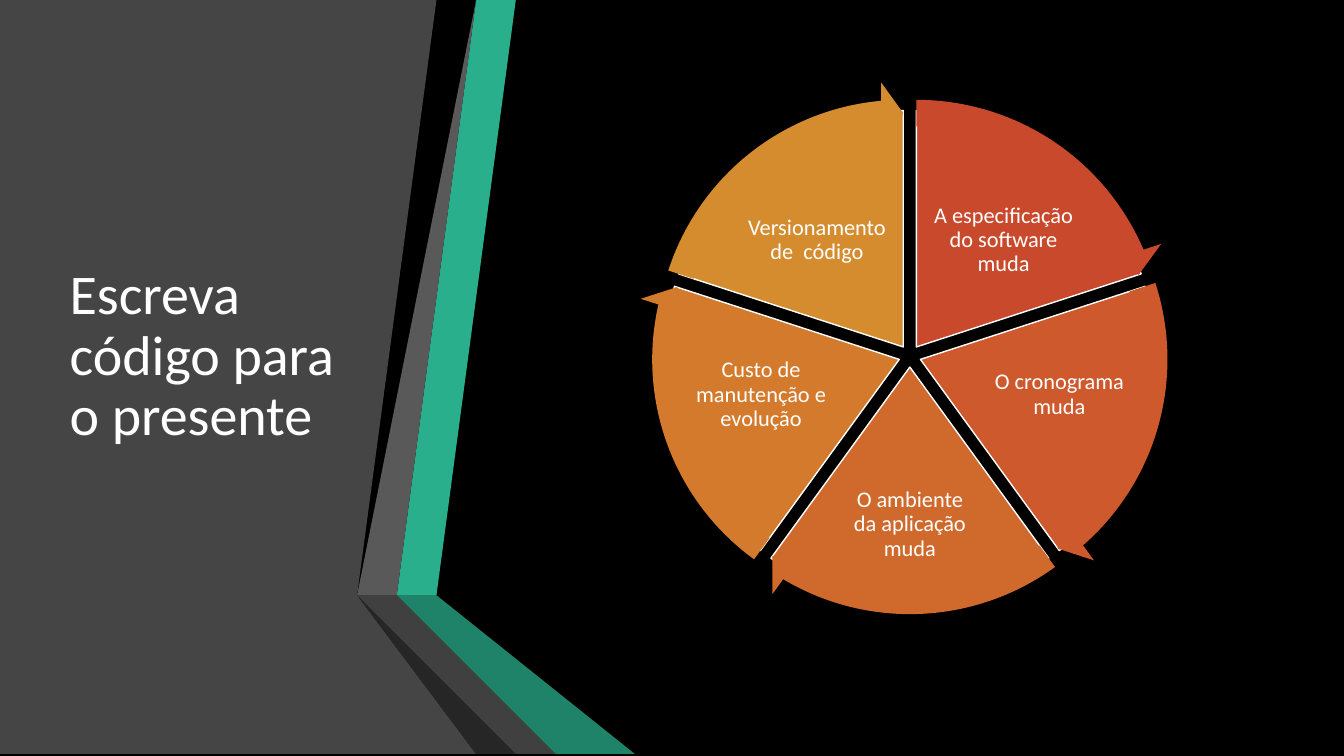
"""Build a slide with a title panel, folded ribbons and a five-part cycle wheel."""
from dataclasses import dataclass
from math import cos, radians, sin

from pptx import Presentation
from pptx.dml.color import RGBColor
from pptx.enum.shapes import MSO_SHAPE
from pptx.enum.text import MSO_ANCHOR, MSO_AUTO_SIZE, PP_ALIGN
from pptx.util import Cm, Pt

PIE, ARROW = MSO_SHAPE.PIE, MSO_SHAPE.CIRCULAR_ARROW
MIDDLE, FIXED = MSO_ANCHOR.MIDDLE, MSO_AUTO_SIZE.NONE
LEFT, CENTER = PP_ALIGN.LEFT, PP_ALIGN.CENTER

COLORS = {
    "back": "000000", "text": "FFFFFF", "panel": "454545",
    "green": "29AF8C", "gray": "595959", "gray edge": "262626",
    "green edge": "155746", "green fold": "1F8369", "gray fold": "404040",
    "red": "C9492C", "rust": "CD592C", "clay": "D0692C",
    "orange": "D47A2C", "amber": "D58C2E",
}
WIDTH, HEIGHT = 33.87, 19.05
HUB_X, HUB_Y, GAP = 22.93, 8.97, 0.28
PIE_SIZE, ARROW_SIZE = 11.91, 13.39
TURN, STEP, START, HEAD = 216, 43.2, 162, 3.28


@dataclass
class Band:
    color: str
    points: list[tuple[float, float]]


@dataclass
class Part:
    label: str
    color: str
    left: float
    top: float
    width: float
    height: float


PANEL = Band("panel", [(0, 0), (11.4, 0), (9.04, 14.62), (12.24, HEIGHT), (0, HEIGHT)])
BANDS = [
    Band("green", [(10.06, 14.68), (10.74, 14.81), (13.18, 0), (12.47, 0)]),
    Band("gray", [(12.32, 0), (11.61, 0), (9.22, 14.55), (9.91, 14.66)]),
    Band("gray edge", [(9.22, 14.55), (12.47, HEIGHT), (12.62, HEIGHT)]),
    Band("green edge", [(10.06, 14.71), (14.07, HEIGHT), (14.22, HEIGHT)]),
    Band("green fold", [(10.06, 14.71), (14.22, HEIGHT), (15.98, HEIGHT),
                        (10.74, 14.81), (10.06, 14.68)]),
    Band("gray fold", [(13.92, HEIGHT), (10.03, 14.81), (9.88, 14.68),
                       (9.91, 14.66), (9.22, 14.55), (12.62, HEIGHT)]),
]
PARTS = [
    Part("A especificação do software muda", "red", 23.37, 4.78, 3.84, 2.54),
    Part("O cronograma muda", "rust", 24.92, 8.53, 3.56, 2.84),
    Part("O ambiente da aplicação muda", "clay", 21.23, 11.66, 3.4, 3.12),
    Part("Custo de manutenção e evolução", "orange", 17.4, 8.53, 3.56, 2.84),
    Part("Versionamento de  código", "amber", 18.67, 4.78, 3.84, 2.54),
]


def paint(item, color: str) -> None:
    """Fill a shape with a flat colour, without line or shadow."""
    item.shadow.inherit = False
    item.fill.solid()
    item.fill.fore_color.rgb = RGBColor.from_string(COLORS[color])
    item.line.fill.background()


def write(item, text: str, size: float, align: PP_ALIGN) -> None:
    """Put one styled paragraph in a shape, centred from top to bottom."""
    frame = item.text_frame
    frame.text = text
    frame.word_wrap = True
    frame.auto_size = FIXED
    frame.vertical_anchor = MIDDLE
    line = frame.paragraphs[0]
    line.alignment = align
    line.line_spacing = 0.9
    line.font.name = "Calibri"
    line.font.size = Pt(size)
    line.font.color.rgb = RGBColor.from_string(COLORS["text"])


def draw_band(shapes, band: Band):
    """Draw a closed outline and return it."""
    maker = shapes.build_freeform(*band.points[0], scale=float(Cm(1)))
    maker.add_line_segments(band.points[1:], close=True)
    item = maker.convert_to_shape()
    paint(item, band.color)
    return item


def draw_round(shapes, kind: MSO_SHAPE, index: int, size: float, adjust: list[float]):
    """Draw a round shape pushed out from the hub along the middle of its part."""
    angle = radians(72 * index - 54)
    left = HUB_X + GAP * cos(angle) - size / 2
    top = HUB_Y + GAP * sin(angle) - size / 2
    item = shapes.add_shape(kind, Cm(left), Cm(top), Cm(size), Cm(size))
    for slot, value in enumerate(adjust):
        item.adjustments[slot] = value
    paint(item, PARTS[index].color)
    return item


def draw_label(shapes, part: Part) -> None:
    """Write the label of a part."""
    box = shapes.add_textbox(Cm(part.left), Cm(part.top), Cm(part.width), Cm(part.height))
    frame = box.text_frame
    frame.margin_left = frame.margin_right = Cm(0.05)
    frame.margin_top = frame.margin_bottom = Cm(0.05)
    write(box, part.label, 16, CENTER)


def draw_wheel(shapes) -> None:
    """Draw the pie parts with labels, then the arrows around them."""
    spans = [((START + STEP * i) % TURN, (START + STEP * (i + 1)) % TURN)
             for i in range(len(PARTS))]
    for index, (start, end) in enumerate(spans):
        pie = draw_round(shapes, PIE, index, PIE_SIZE, [start, end])
        pie.line.color.rgb = RGBColor.from_string(COLORS["text"])
        pie.line.width = Pt(1)
        draw_label(shapes, PARTS[index])
    for index, (start, end) in enumerate(spans):
        draw_round(shapes, ARROW, index, ARROW_SIZE,
                   [0.05, HEAD, end - HEAD, start, 0.06])


def main() -> None:
    """Build and save the slide."""
    deck = Presentation()
    deck.slide_width, deck.slide_height = Cm(WIDTH), Cm(HEIGHT)
    slide = deck.slides.add_slide(deck.slide_layouts[5])
    slide.background.fill.solid()
    slide.background.fill.fore_color.rgb = RGBColor.from_string(COLORS["back"])
    shapes = slide.shapes
    title = shapes.title
    draw_band(shapes, PANEL)
    for band in BANDS:
        last = draw_band(shapes, band)
    last.element.addnext(title.element)
    title.left, title.top = Cm(1.5), Cm(1.91)
    title.width, title.height = Cm(7.72), Cm(14.17)
    write(title, "Escreva código para o presente", 40, LEFT)
    draw_wheel(shapes)
    deck.save("out.pptx")


if __name__ == "__main__":
    main()
